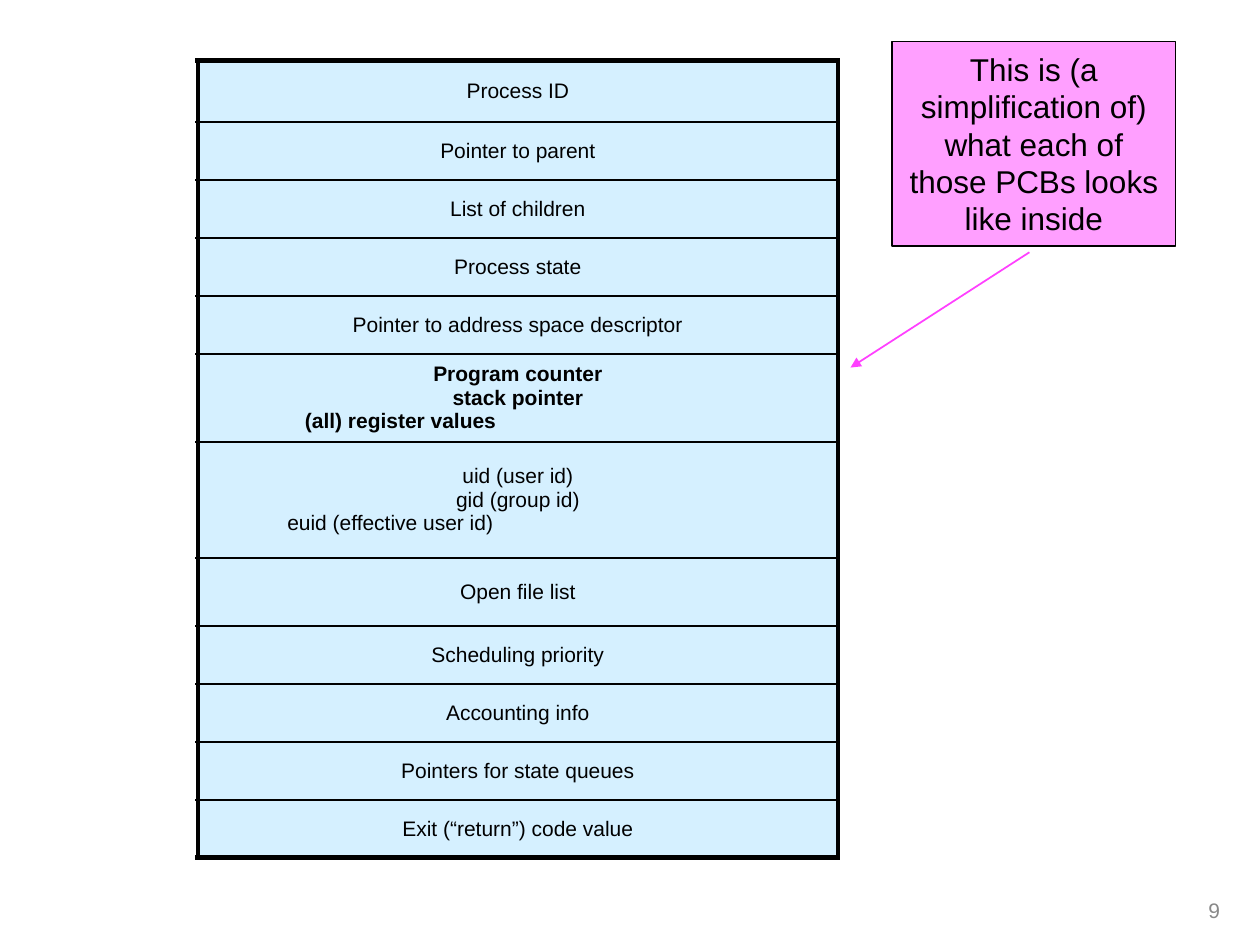
from lxml.etree import SubElement
from pptx import Presentation
from pptx.dml.color import RGBColor
from pptx.enum.shapes import MSO_CONNECTOR as Connector, MSO_SHAPE as Shape
from pptx.enum.text import MSO_ANCHOR as Anchor, PP_ALIGN as Align
from pptx.oxml.ns import qn
from pptx.util import Inches, Pt

WIDTH, HEIGHT = 10, 7.5
FONT = "Arial"
COLORS = {"ink": "000000", "cell": "D5F0FF", "pink": "FF40FF", "number": "898989"}
ROW = 0.46
FIELDS = [
    ("Process ID", 0.49),
    ("Pointer to parent", ROW),
    ("List of children", ROW),
    ("Process state", ROW),
    ("Pointer to address space descriptor", ROW),
    ("Program counter\vstack pointer\n(all) register values", 0.7),
    ("uid (user id)\vgid (group id)\neuid (effective user id)", 0.92),
    ("Open file list", 0.54),
    ("Scheduling priority", ROW),
    ("Accounting info", ROW),
    ("Pointers for state queues", ROW),
    ("Exit (“return”) code value", ROW),
]
BOLD_ROW = 5
LAST_LINE_INDENTS = {5: 0.85, 6: 0.71}


def share(x, y):
    """Turn shares of the slide's width and height into lengths."""
    return Inches(WIDTH * x), Inches(HEIGHT * y)


def color(name):
    """Return a named colour of the palette."""
    return RGBColor.from_string(COLORS[name])


def write(frame, text, size, ink="ink", align=Align.CENTER, bold=False):
    """Fill a text frame that has no margins with evenly styled paragraphs."""
    frame.text = text
    frame.word_wrap = True
    for para in frame.paragraphs:
        para.alignment = align
        para.font.name, para.font.size, para.font.bold = FONT, Pt(size), bold
        para.font.color.rgb = color(ink)


def clear_margins(holder):
    """Remove the inner margins of a cell or text frame."""
    holder.margin_left = holder.margin_right = 0
    holder.margin_top = holder.margin_bottom = 0


def add_border(cell, side, width):
    """Draw one side of a cell's border."""
    line = SubElement(cell._tc.get_or_add_tcPr(), qn(f"a:ln{side}"), w=str(Pt(width)))
    fill = SubElement(line, qn("a:solidFill"))
    SubElement(fill, qn("a:srgbClr"), val=COLORS["ink"])


def add_field_table(page):
    """Add the one-column table of process fields."""
    height = sum(height for _, height in FIELDS)
    frame = page.shapes.add_table(
        len(FIELDS), 1, *share(0.157, 0.064), Inches(5.08), Inches(height))
    table = frame.table
    table.first_row = table.horz_banding = False
    last = len(FIELDS) - 1
    for index, (text, height) in enumerate(FIELDS):
        table.rows[index].height = Inches(height)
        cell = table.cell(index, 0)
        clear_margins(cell)
        cell.vertical_anchor = Anchor.MIDDLE
        write(cell.text_frame, text, 12, bold=index == BOLD_ROW)
        if index in LAST_LINE_INDENTS:
            para = cell.text_frame.paragraphs[-1]
            para.alignment = Align.LEFT
            para._p.get_or_add_pPr().set("marL", str(Inches(LAST_LINE_INDENTS[index])))
        top, bottom = (3 if index == edge else 1.5 for edge in (0, last))
        for side, width in zip("LRTB", (3, 3, top, bottom)):
            add_border(cell, side, width)
        cell.fill.solid()
        cell.fill.fore_color.rgb = color("cell")


def add_callout(page, text):
    """Add the half-transparent pink note."""
    box = page.shapes.add_shape(Shape.RECTANGLE, *share(0.708, 0.044), *share(0.225, 0.216))
    box.shadow.inherit = False
    box.fill.solid()
    box.fill.fore_color.rgb = color("pink")
    tint = box._element.spPr.find(qn("a:solidFill")).find(qn("a:srgbClr"))
    SubElement(tint, qn("a:alpha"), val="50000")
    box.line.color.rgb = color("ink")
    box.line.width = Pt(1)
    clear_margins(box.text_frame)
    box.text_frame.vertical_anchor = Anchor.MIDDLE
    write(box.text_frame, text, 18)
    box.text_frame.paragraphs[0].line_spacing = Pt(21.4)


def add_arrow(page, start, end):
    """Add a thin pink arrow between two points."""
    arrow = page.shapes.add_connector(Connector.STRAIGHT, *share(*start), *share(*end))
    arrow.line.color.rgb = color("pink")
    arrow.line.width = Pt(1)
    SubElement(arrow.line._get_or_add_ln(), qn("a:tailEnd"), type="triangle")
    SubElement(arrow._element.spPr, qn("a:effectLst"))


def add_page_number(page, number):
    """Add the grey page number in the lower right corner."""
    box = page.shapes.add_textbox(*share(0.959, 0.95), *share(0.013, 0.028))
    clear_margins(box.text_frame)
    write(box.text_frame, number, 12, ink="number", align=Align.LEFT)


def main():
    """Build and save the slide."""
    deck = Presentation()
    deck.slide_width, deck.slide_height = share(1, 1)
    page = deck.slides.add_slide(deck.slide_layouts[6])
    add_callout(page, "This is (a\vsimplification of)\vwhat each of\vthose PCBs looks\vlike inside")
    add_arrow(page, (0.817, 0.267), (0.675, 0.389))
    add_field_table(page)
    add_page_number(page, "9")
    deck.save("out.pptx")


if __name__ == "__main__":
    main()
